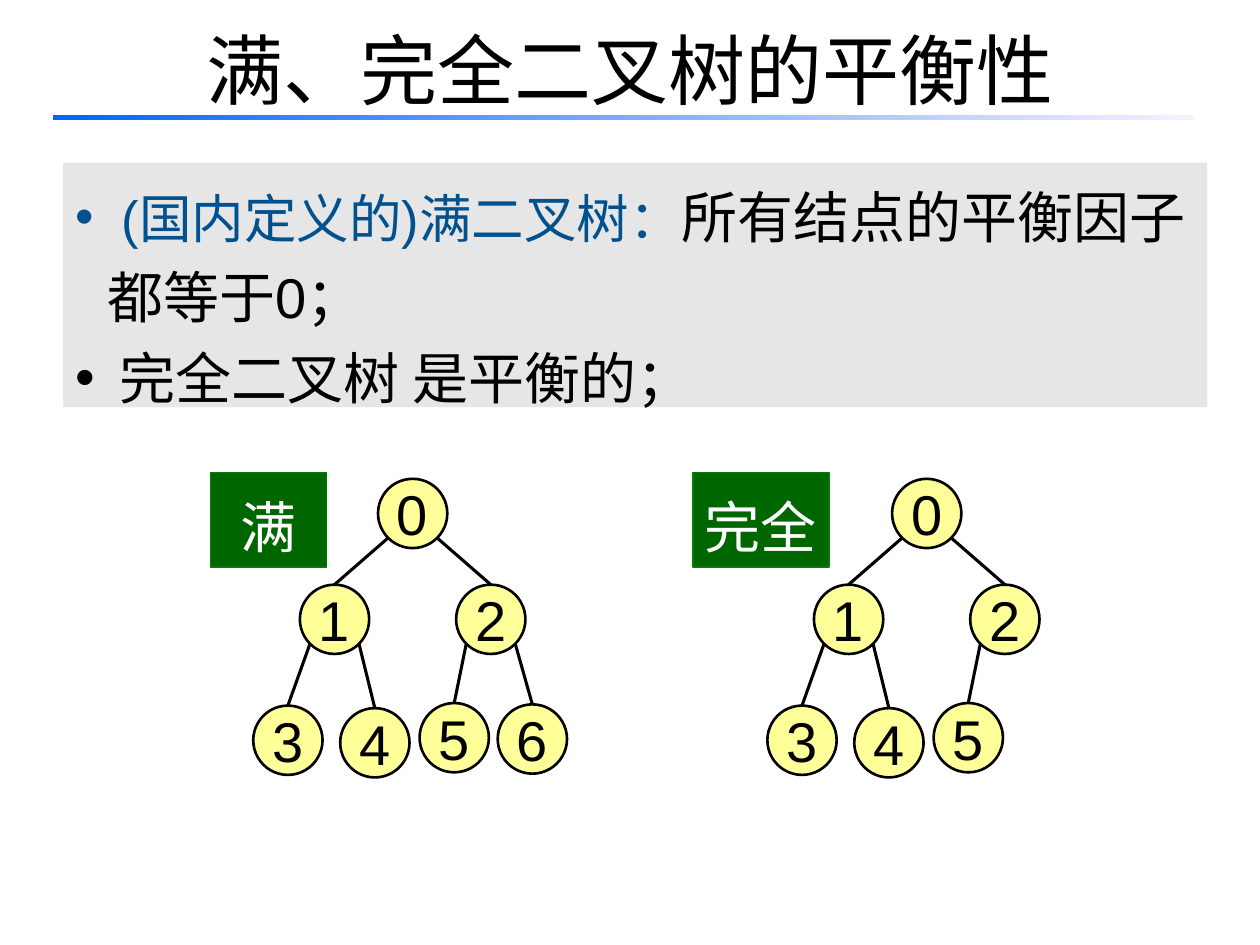
from math import cos, pi

from lxml.etree import SubElement
from pptx import Presentation
from pptx.dml.color import RGBColor
from pptx.enum.shapes import MSO_CONNECTOR as Connector, MSO_SHAPE as Shape
from pptx.enum.text import MSO_ANCHOR as Anchor, MSO_AUTO_SIZE as AutoSize, PP_ALIGN as Align
from pptx.oxml.ns import qn
from pptx.util import Inches, Pt

COLORS = {
    "black": "000000", "white": "FFFFFF", "blue": "00518E", "panel": "E6E6E6",
    "rule start": "0066FF", "rule end": "F7EFFF", "node": "FFFF99",
    "root": "FFFE98", "label": "006600", "label edge": "007E00",
}
LATIN, CJK = "Arial", "Noto Sans CJK SC"

TITLE = "满、完全二叉树的平衡性"
POINTS = [
    [(" (国内定义的)满二叉树：", 30, "blue"), ("所有结点的平衡因子都等于0；", 32, "black")],
    [(" 完全二叉树 是平衡的；", 32, "black")],
]
NODES = {
    "0": (0.99, 0.05), "1": (0.37, 0.89), "2": (1.61, 0.89),
    "3": (0, 1.85), "4": (0.69, 1.87), "5": (1.32, 1.83), "6": (1.94, 1.84),
}
EDGES = [("0", "1", -1), ("0", "2", 1), ("1", "3", -1),
         ("1", "4", 1), ("2", "5", -1), ("2", "6", 1)]
TREES = [
    {"label": "满", "label_left": 1.67, "label_width": 0.92, "left": 2.01, "nodes": "0123456"},
    {"label": "完全", "label_left": 5.5, "label_width": 1.08, "left": 6.09, "nodes": "012345"},
]
TREE_TOP, DIAMETER, LABEL_HEIGHT = 3.75, 0.55, 0.75


def color(name):
    return RGBColor.from_string(COLORS[name])


def place(part, left, top, width, height):
    part.left, part.top = Inches(left), Inches(top)
    part.width, part.height = Inches(width), Inches(height)


def style(font, name, size, ink):
    font.name, font.size = name, Pt(size)
    font.color.rgb = color(ink)


def add_box(slide, kind, box, fill, edge, edge_width, text, font, ink):
    part = slide.shapes.add_shape(kind, *map(Inches, box))
    part.shadow.inherit = False
    part.fill.solid()
    part.fill.fore_color.rgb = color(fill)
    part.line.color.rgb = color(edge)
    part.line.width = Pt(edge_width)
    frame = part.text_frame
    frame.text = text
    frame.word_wrap = False
    frame.vertical_anchor = Anchor.MIDDLE
    paragraph = frame.paragraphs[0]
    paragraph.alignment = Align.CENTER
    style(paragraph.runs[0].font, font, 32, ink)
    return paragraph


def add_title(slide):
    title = slide.shapes.title
    place(title, 0.5, -0.08, 9, 1.25)
    title.text_frame.text = TITLE
    title.text_frame.vertical_anchor = Anchor.MIDDLE
    paragraph = title.text_frame.paragraphs[0]
    paragraph.alignment = Align.CENTER
    style(paragraph.runs[0].font, CJK, 44, "black")

    rule = slide.shapes.add_shape(Shape.RECTANGLE, *map(Inches, (0.42, 0.91, 9.05, 0.04)))
    rule.shadow.inherit = False
    rule.line.fill.background()
    rule.fill.gradient()
    rule.fill.gradient_angle = 0
    for stop, position, name in zip(rule.fill.gradient_stops, (0, 1), ("rule start", "rule end")):
        stop.position = position
        stop.color.rgb = color(name)


def add_points(slide):
    body = slide.placeholders[1]
    place(body, 0.5, 1.29, 9.08, 2.04)
    body.fill.solid()
    body.fill.fore_color.rgb = color("panel")
    frame = body.text_frame
    frame.auto_size = AutoSize.SHAPE_TO_FIT_TEXT
    for index, runs in enumerate(POINTS):
        paragraph = frame.add_paragraph() if index else frame.paragraphs[0]
        properties = paragraph._p.get_or_add_pPr()
        properties.set("marL", str(Inches(0.25)))
        properties.set("indent", str(-Inches(0.25)))
        SubElement(properties, qn("a:buChar"), char="•")
        paragraph.line_spacing = 1.2
        paragraph.space_before = Pt(0)
        for text, size, ink in runs:
            run = paragraph.add_run()
            run.text = text
            style(run.font, LATIN, size, ink)


def add_tree(slide, tree):
    spots = {key: (tree["left"] + NODES[key][0], TREE_TOP + NODES[key][1])
             for key in tree["nodes"]}
    radius = DIAMETER / 2
    reach = radius * cos(pi / 4)
    for parent, child, side in EDGES:
        if child not in spots:
            continue
        (px, py), (cx, cy) = spots[parent], spots[child]
        ends = (px + radius + side * reach, py + radius + reach, cx + radius, cy)
        edge = slide.shapes.add_connector(Connector.STRAIGHT, *map(Inches, ends))
        edge.line.color.rgb = color("black")
        edge.line.width = Pt(1.75)
        SubElement(edge._element.spPr, qn("a:effectLst"))
    for key, spot in spots.items():
        add_box(slide, Shape.OVAL, (*spot, DIAMETER, DIAMETER),
                "root" if key == "0" else "node", "black", 1.5, key, LATIN, "black")
    label = add_box(slide, Shape.RECTANGLE,
                    (tree["label_left"], TREE_TOP, tree["label_width"], LABEL_HEIGHT),
                    "label", "label edge", 0.75, tree["label"], CJK, "white")
    label.line_spacing = 1.2


def main():
    deck = Presentation()
    deck.slide_width, deck.slide_height = Inches(10), Inches(7.5)
    slide = deck.slides.add_slide(deck.slide_layouts[1])
    add_title(slide)
    add_points(slide)
    for tree in TREES:
        add_tree(slide, tree)
    deck.save("out.pptx")


if __name__ == "__main__":
    main()
